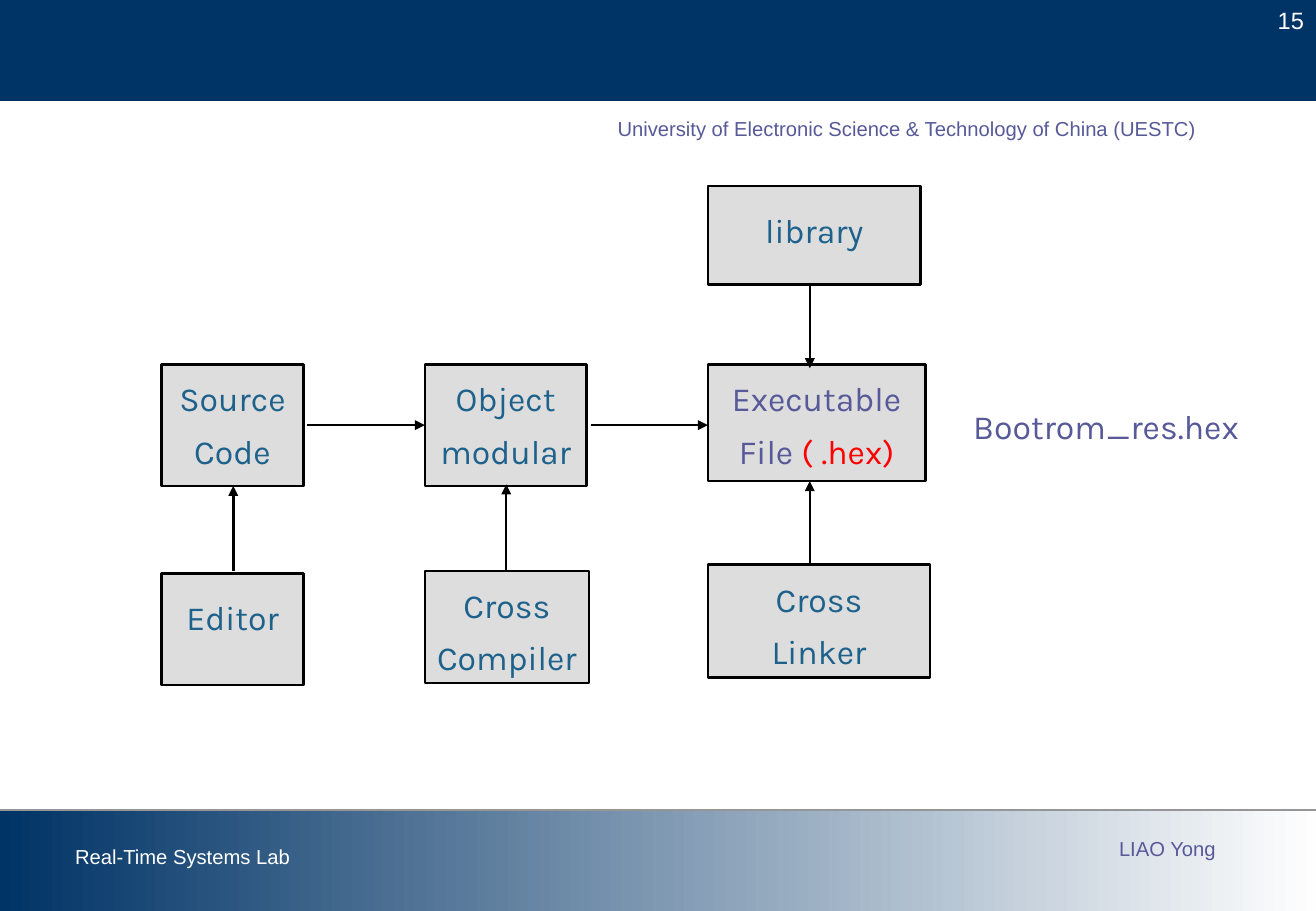
import pptx
import pptx.util
import pptx.dml.color
import pptx.enum.shapes
import pptx.enum.text
import pptx.oxml
import pptx.oxml.ns

Cm = pptx.util.Cm
Pt = pptx.util.Pt
SHAPES = pptx.enum.shapes.MSO_SHAPE
ALIGN = pptx.enum.text.PP_ALIGN

COLORS = {
    "navy": "003366", "white": "FFFFFF", "fade": "FEFEFE", "rule": "969696",
    "violet": "575999", "box": "DDDDDD", "black": "000000",
    "teal": "1E628C", "red": "FF0000",
}
BOX_FRAME = {
    "margin_left": Cm(0.15), "margin_right": Cm(0.15),
    "margin_top": Cm(0.03), "margin_bottom": Cm(0.03),
    "vertical_anchor": pptx.enum.text.MSO_ANCHOR.TOP, "word_wrap": True,
}
LABEL_FRAME = {
    "margin_left": Cm(0.25), "margin_right": Cm(0.25),
    "margin_top": Cm(0.13), "margin_bottom": Cm(0.13),
}
STEP_LEFT = {"compile": 0, "link": 5.51, "run": 11.43}
STEPS = [
    ("compile", 8.1, 2.97, 2.34, 1.55, "teal", [["Editor"]]),
    ("link", 8.05, 3.43, 2.34, 1.3, "teal", [["Cross"], ["Compiler"]]),
    ("run", 7.92, 4.65, 2.36, 1.3, "teal", [["Cross"], ["Linker"]]),
    ("compile", 3.73, 2.97, 2.54, 1.3, "teal", [["Source Code"]]),
    ("link", 3.73, 3.38, 2.54, 1.3, "teal", [["Object modular"]]),
    ("run", 3.73, 4.55, 2.44, 1.3, "violet",
     [["Executable"], ["File", (" ( .hex)", "red")]]),
    ("run", 0, 4.45, 2.06, 1.55, "teal", [["library"]]),
]
ARROWS = [
    (1.5, 8.05, 1.5, 6.27),
    (7.21, 8.02, 7.21, 6.24),
    (13.56, 7.95, 13.56, 6.17),
    (13.56, 2.03, 13.56, 3.81),
    (3.05, 5, 5.51, 5),
    (8.99, 5, 11.43, 5),
]


def rgb(name):
    return pptx.dml.color.RGBColor.from_string(COLORS[name])


def apply_format(target, values):
    for name, value in values.items():
        setattr(target, name, value)


def write(frame, lines, color, font, paragraph_format):
    for index, runs in enumerate(lines):
        paragraph = frame.paragraphs[0] if index == 0 else frame.add_paragraph()
        apply_format(paragraph, paragraph_format)
        for part in runs:
            words, tint = part if isinstance(part, tuple) else (part, color)
            run = paragraph.add_run()
            run.text = words
            apply_format(run.font, font)
            run.font.color.rgb = rgb(tint)


def add_label(slide, box, words, color, size=12, face="Arial",
              wrap=False, align=ALIGN.LEFT, spacing=1.0):
    label = slide.shapes.add_textbox(*map(Cm, box))
    apply_format(label.text_frame, {**LABEL_FRAME, "word_wrap": wrap})
    write(label.text_frame, [[words]], color, {"size": Pt(size), "name": face},
          {"alignment": align, "line_spacing": spacing})


def add_rule(slide, start, end, color, width, arrow=False):
    rule = slide.shapes.add_connector(
        pptx.enum.shapes.MSO_CONNECTOR.STRAIGHT, *map(Cm, start + end))
    rule.line.color.rgb = rgb(color)
    rule.line.width = Pt(width)
    if arrow:
        head = pptx.oxml.parse_xml(
            f'<a:tailEnd {pptx.oxml.ns.nsdecls("a")} type="triangle"/>')
        rule.line._get_or_add_ln().append(head)
    rule._element.spPr.append(
        pptx.oxml.parse_xml(f'<a:effectLst {pptx.oxml.ns.nsdecls("a")}/>'))


def add_block(slide, box):
    block = slide.shapes.add_shape(SHAPES.RECTANGLE, *map(Cm, box))
    block.shadow.inherit = False
    return block


def draw_header(slide, left, top, width, height):
    add_rule(slide, (left, top + height), (left + width, top + height),
             "white", 0.75)
    band = add_block(slide, (left, top, width, height))
    band.fill.solid()
    band.fill.fore_color.rgb = rgb("navy")
    band.line.fill.background()
    add_label(slide, (left + width - 1.6, top, 1.6, 0.84), "15", "white", 14,
              wrap=True, align=ALIGN.RIGHT)
    add_label(slide, (left + 12.67, top + height + 0.2, 14.8, 0.76),
              "University of Electronic Science & Technology of China (UESTC)",
              "violet", wrap=True)


def draw_footer(slide, left, top, width, height):
    band = add_block(slide, (left, top, width, height))
    band.fill.gradient()
    band.fill.gradient_angle = 180
    for stop, color in zip(band.fill.gradient_stops, ("fade", "navy")):
        stop.color.rgb = rgb(color)
    band.line.fill.background()
    add_rule(slide, (left, top + 0.02), (left + width, top + 0.02), "rule", 0.75)
    add_label(slide, (left + 1.32, top + 0.61, 5.13, 0.76),
              "Real-Time Systems Lab", "white")
    add_label(slide, (left + 23.16, top + 0.43, 2.57, 0.76),
              "LIAO Yong", "violet")


def draw_build_flow(slide, left, top):
    for column, step_top, width, height, spacing, color, lines in STEPS:
        step = add_block(
            slide, (left + STEP_LEFT[column], top + step_top, width, height))
        step.fill.solid()
        step.fill.fore_color.rgb = rgb("box")
        step.line.color.rgb = rgb("black")
        step.line.width = Pt(1.5)
        apply_format(step.text_frame, BOX_FRAME)
        write(step.text_frame, lines, color, {"size": Pt(20), "name": "Karla"},
              {"alignment": ALIGN.CENTER, "line_spacing": spacing})
    for x1, y1, x2, y2 in ARROWS:
        add_rule(slide, (left + x1, top + y1), (left + x2, top + y2),
                 "black", 1.5, arrow=True)
    add_label(slide, (left + 16.66, top + 4.57, 6.2, 1.02), "Bootrom_res.hex",
              "violet", 20, "Karla", align=ALIGN.CENTER, spacing=0.9)


def main():
    deck = pptx.Presentation()
    deck.slide_width, deck.slide_height = Cm(27.53), Cm(19.05)
    slide = deck.slides.add_slide(deck.slide_layouts[6])
    draw_header(slide, 0, 0, 27.53, 2.11)
    draw_footer(slide, 0, 16.92, 27.53, 2.13)
    draw_build_flow(slide, 3.38, 3.89)
    deck.save("out.pptx")


if __name__ == "__main__":
    main()
